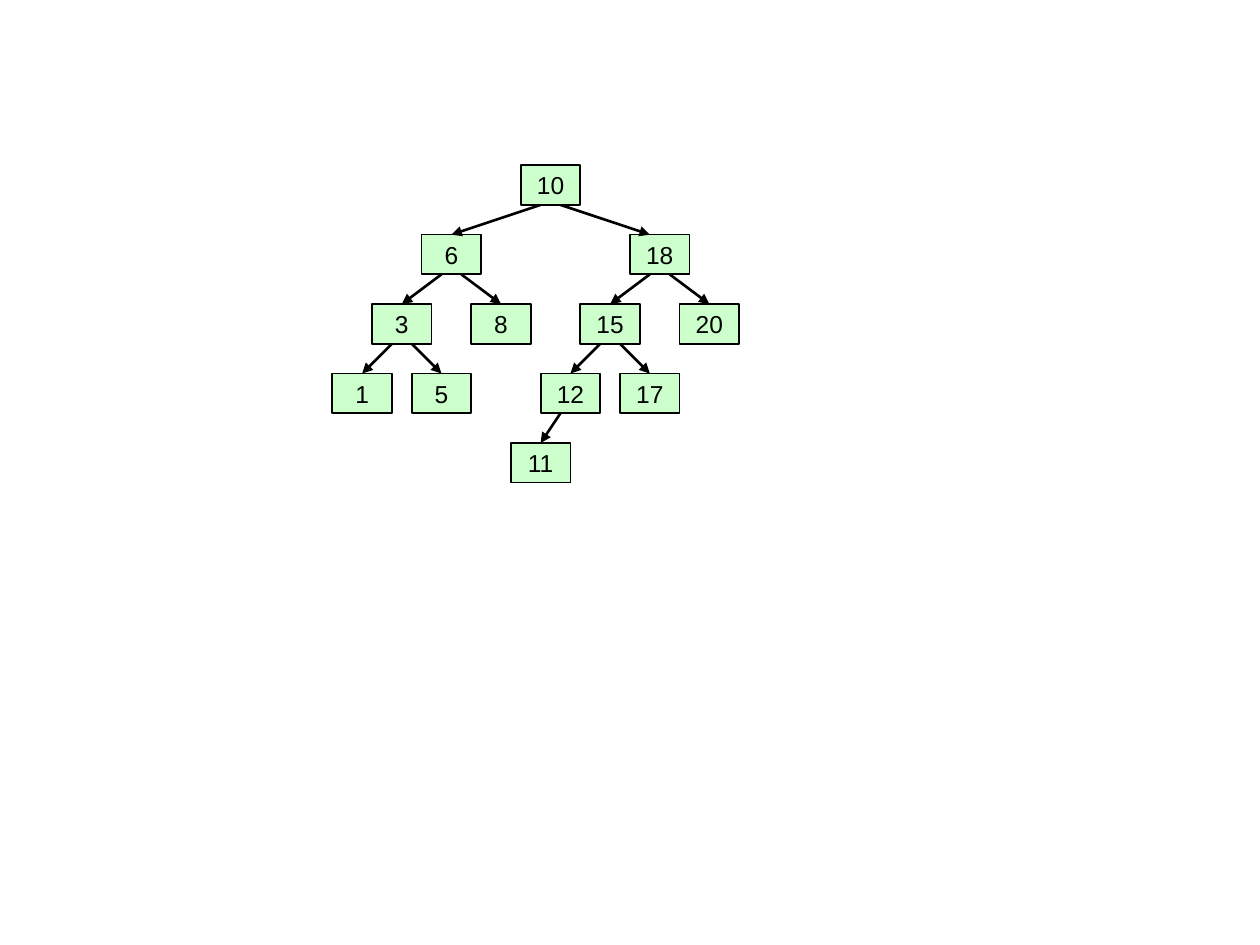
"""Builds a slide with a binary search tree."""
from lxml import etree
from pptx import Presentation
from pptx.dml.color import RGBColor
from pptx.enum.shapes import MSO_CONNECTOR, MSO_SHAPE
from pptx.enum.text import MSO_ANCHOR, PP_ALIGN
from pptx.oxml.ns import qn
from pptx.util import Cm, Pt

RECTANGLE = MSO_SHAPE.RECTANGLE
STRAIGHT = MSO_CONNECTOR.STRAIGHT
CENTER = PP_ALIGN.CENTER
MIDDLE = MSO_ANCHOR.MIDDLE

COLORS = {"node": "CCFFCC", "ink": "000000"}

# Lengths in cm
NODE_WIDTH, NODE_HEIGHT = 1.2, 0.8
LEVEL_PITCH = 1.4
SPREADS = (2, 1, 0.8, 0.6)  # child distance from its parent, by level
EDGE_START = 0.2
ROOT_X, ROOT_TOP = 11.1, 3.33
NODE_SHIFTS = {18: 0.2}

CHILDREN = {
    10: (6, 18),
    6: (3, 8),
    18: (15, 20),
    3: (1, 5),
    15: (12, 17),
    12: (11, None),
}


def color(name):
    """Return the named colour."""
    return RGBColor.from_string(COLORS[name])


class TreeSlide:
    """Holds the style and the group that carries the tree."""

    font, size = "Arial", Pt(14)
    outline, edge_width = Pt(1), Pt(1.5)

    def __init__(self, slide):
        """Start an empty tree on the slide."""
        self.shapes = slide.shapes.add_group_shape().shapes

    def node(self, key, x, top):
        """Draw a box with its key, centred on x."""
        box = self.shapes.add_shape(
            RECTANGLE, Cm(x - NODE_WIDTH / 2), Cm(top),
            Cm(NODE_WIDTH), Cm(NODE_HEIGHT))
        box.shadow.inherit = False
        box.fill.solid()
        box.fill.fore_color.rgb = color("node")
        box.line.color.rgb = color("ink")
        box.line.width = self.outline
        frame = box.text_frame
        frame.word_wrap = False
        frame.vertical_anchor = MIDDLE
        paragraph = frame.paragraphs[0]
        paragraph.alignment = CENTER
        label = paragraph.add_run()
        label.text = str(key)
        label.font.name = self.font
        label.font.size = self.size
        label.font.color.rgb = color("ink")

    def edge(self, x1, y1, x2, y2):
        """Draw an arrow from a parent to a child."""
        arrow = self.shapes.add_connector(
            STRAIGHT, Cm(x1), Cm(y1), Cm(x2), Cm(y2))
        arrow.line.color.rgb = color("ink")
        arrow.line.width = self.edge_width
        etree.SubElement(arrow.line._get_or_add_ln(), qn("a:tailEnd"),
                         type="triangle")
        etree.SubElement(arrow._element.spPr, qn("a:effectLst"))

    def subtree(self, key, x, level=0):
        """Draw the children and edges of a key, then its own node."""
        top = ROOT_TOP + level * LEVEL_PITCH
        for side, child in zip((-1, 1), CHILDREN.get(key, ())):
            if child is None:
                continue
            child_x = x + side * SPREADS[level]
            self.subtree(child, child_x + NODE_SHIFTS.get(child, 0), level + 1)
            self.edge(x + side * EDGE_START, top + NODE_HEIGHT,
                      child_x, top + LEVEL_PITCH)
        self.node(key, x, top)


def main():
    """Build and save the presentation."""
    deck = Presentation()
    deck.slide_width, deck.slide_height = Cm(25.4), Cm(19.05)
    blank = deck.slide_layouts[6]
    tree = TreeSlide(deck.slides.add_slide(blank))
    tree.subtree(10, ROOT_X)
    deck.save("out.pptx")


main()
